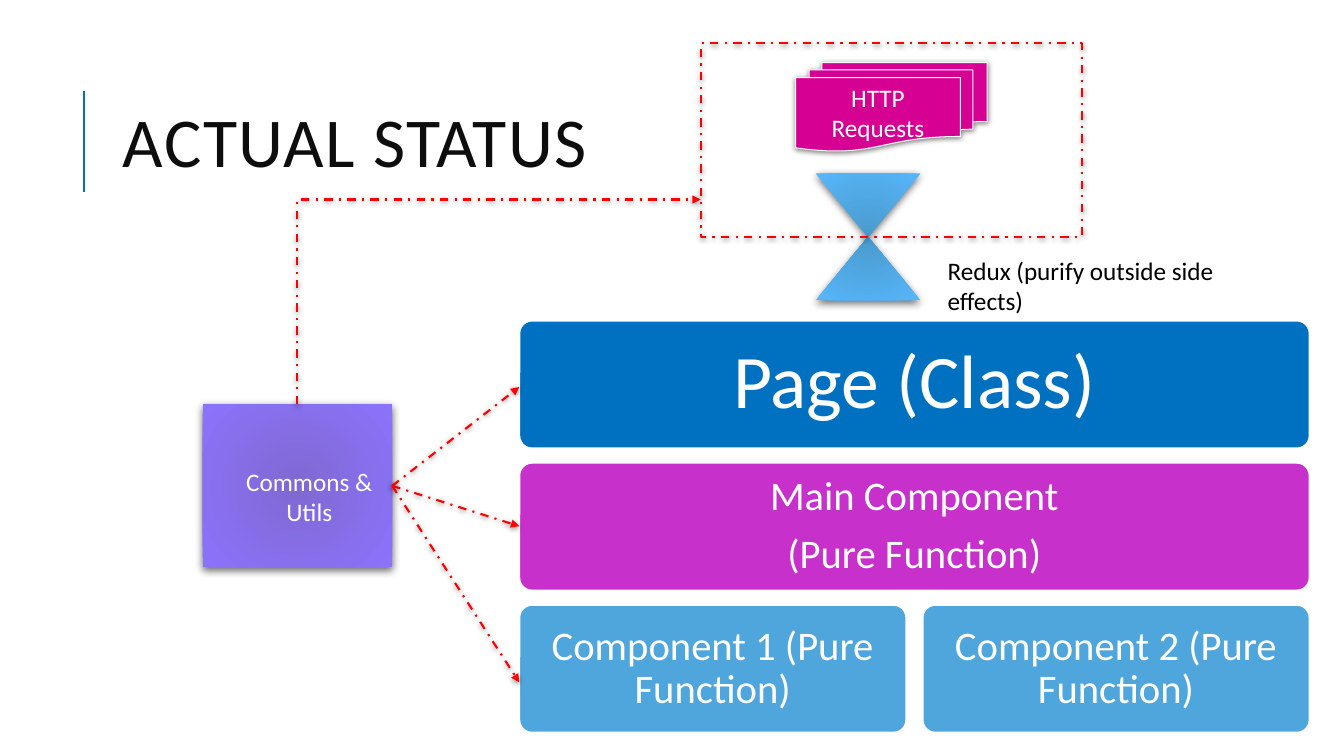
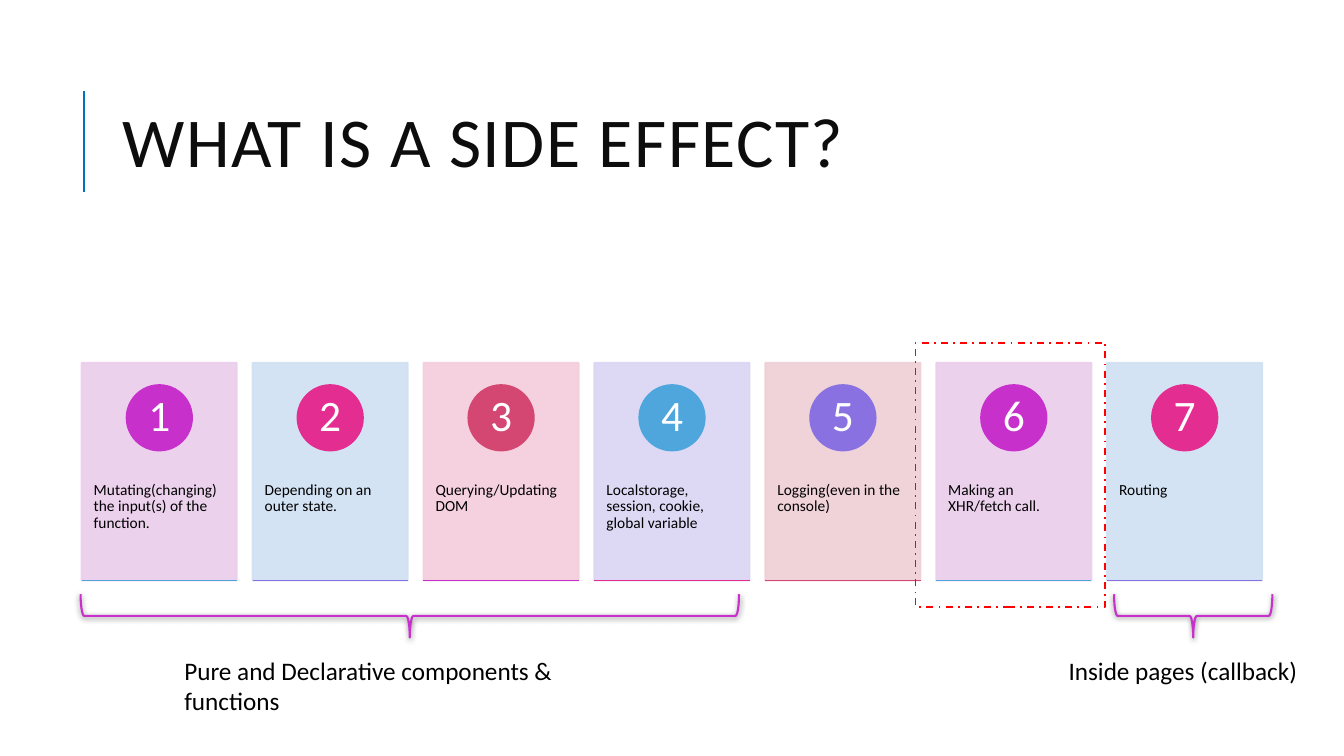
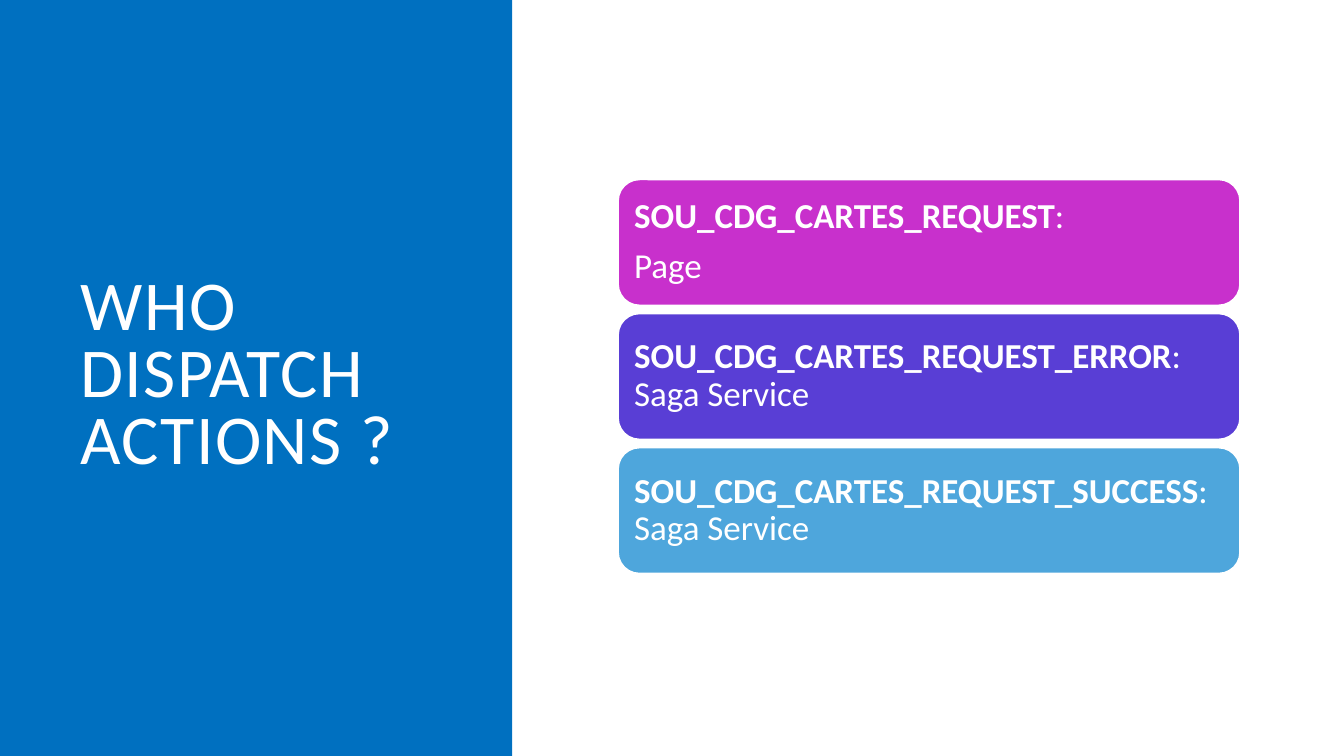
from lxml.etree import SubElement
from pptx import Presentation
from pptx.dml.color import RGBColor
from pptx.enum.dml import MSO_LINE
from pptx.enum.shapes import MSO_CONNECTOR, MSO_SHAPE
from pptx.enum.text import MSO_ANCHOR, PP_ALIGN
from pptx.oxml.ns import qn
from pptx.util import Inches, Pt

BLUE, SKY, PURPLE, PINK = "0070C0", "4EA6DC", "C830CC", "E32D91"
ROSE, LILAC, VIOLET, MAGENTA = "D54773", "8971E1", "593ED5", "D60093"
RED, WHITE, BLACK, INK = "FF0000", "FFFFFF", "000000", "0D0D0D"
FONT = "Calibri"
SOFT_SHADOW = (50, 4, 1)
DEEP_SHADOW = (60, 6, 2)
DEFAULT_INSETS = (0.1, 0.05, 0.1, 0.05)


def color(value):
    return RGBColor.from_string(value)


class Deck:
    def __init__(self):
        self.presentation = Presentation()
        self.presentation.slide_width = Inches(13.33)
        self.presentation.slide_height = Inches(7.5)
        self.slide = None

    def new_slide(self):
        self.slide = self.presentation.slides.add_slide(self.presentation.slide_layouts[6])

    def effects(self, element, shadow):
        effect_list = element.spPr.find(qn("a:effectLst"))
        if effect_list is None:
            effect_list = SubElement(element.spPr, qn("a:effectLst"))
        if shadow:
            alpha, blur, distance = shadow
            outer = SubElement(effect_list, qn("a:outerShdw"), blurRad=str(Pt(blur)),
                               dist=str(Pt(distance)), dir="5400000", rotWithShape="0")
            shade = SubElement(outer, qn("a:srgbClr"), val=BLACK)
            SubElement(shade, qn("a:alpha"), val=str(alpha * 1000))

    def outline(self, line, stroke, width, dashed):
        if stroke is None:
            line.fill.background()
            return
        line.color.rgb = color(stroke)
        line.width = Pt(width)
        if dashed:
            line.dash_style = MSO_LINE.DASH_DOT

    def shape(self, kind, left, top, width, height, fill=None, stroke=None,
              stroke_width=1.25, dashed=False, shadow=None, opacity=100):
        shape = self.slide.shapes.add_shape(kind, Inches(left), Inches(top),
                                            Inches(width), Inches(height))
        if fill is None:
            shape.fill.background()
        elif isinstance(fill, tuple):
            self.radial(shape, fill)
        else:
            shape.fill.solid()
            shape.fill.fore_color.rgb = color(fill)
        self.outline(shape.line, stroke, stroke_width, dashed)
        if opacity < 100:
            for tint in shape.element.spPr.iter(qn("a:srgbClr")):
                SubElement(tint, qn("a:alpha"), val=str(opacity * 1000))
        shape.shadow.inherit = False
        self.effects(shape.element, shadow)
        return shape

    def radial(self, shape, colors):
        shape.fill.gradient()
        for stop, value in zip(shape.fill.gradient_stops, colors):
            stop.color.rgb = color(value)
        gradient = shape.element.spPr.find(qn("a:gradFill"))
        gradient.remove(gradient.find(qn("a:lin")))
        circle = SubElement(gradient, qn("a:path"), path="circle")
        SubElement(circle, qn("a:fillToRect"), l="100000", t="100000", r="100000", b="100000")

    def set_text(self, shape, paragraphs, size, ink=WHITE, align=PP_ALIGN.LEFT,
                 anchor=MSO_ANCHOR.MIDDLE, insets=DEFAULT_INSETS, line_spacing=None,
                 after=0, tracking=None):
        frame = shape.text_frame
        frame.word_wrap = True
        frame.vertical_anchor = anchor
        (frame.margin_left, frame.margin_top,
         frame.margin_right, frame.margin_bottom) = map(Inches, insets)
        for index, runs in enumerate(paragraphs):
            paragraph = frame.add_paragraph() if index else frame.paragraphs[0]
            paragraph.alignment = align
            if line_spacing:
                paragraph.line_spacing = line_spacing
            if after:
                paragraph.space_after = Pt(round(size * after))
            for text, bold in runs:
                run = paragraph.add_run()
                run.text = text
                run.font.name = FONT
                run.font.size = Pt(size)
                run.font.bold = bold
                run.font.color.rgb = color(ink)
                if tracking:
                    run.font._element.set("spc", str(tracking * 100))

    def text_box(self, left, top, width, height, text, size=18, ink=BLACK,
                 anchor=MSO_ANCHOR.TOP, **style):
        box = self.slide.shapes.add_textbox(Inches(left), Inches(top),
                                            Inches(width), Inches(height))
        self.set_text(box, [[(text, False)]], size, ink, anchor=anchor, **style)

    def title(self, text, place=(1.12, 0.64, 10.63, 1.64), ink=INK):
        self.text_box(*place, text, 50, ink, MSO_ANCHOR.MIDDLE, line_spacing=0.8, tracking=1)

    def ruled_title(self, text):
        self.line((0.83, 1.9), (0.83, 0.9), BLUE, 1.5)
        self.title(text)

    def line(self, start, end, stroke, width=1.25, dashed=False, shadow=None,
             kind=MSO_CONNECTOR.STRAIGHT):
        connector = self.slide.shapes.add_connector(kind, *map(Inches, start + end))
        self.outline(connector.line, stroke, width, dashed)
        self.effects(connector.element, shadow)
        return connector

    def arrow(self, start, end, kind=MSO_CONNECTOR.STRAIGHT):
        connector = self.line(start, end, RED, 1.5, True, SOFT_SHADOW, kind)
        SubElement(connector.element.spPr.find(qn("a:ln")), qn("a:tailEnd"), type="triangle")
        return connector

    def corner_arrow(self, start, end):
        center_x, center_y = (start[0] + end[0]) / 2, (start[1] + end[1]) / 2
        half_run, half_rise = (end[0] - start[0]) / 2, (start[1] - end[1]) / 2
        connector = self.arrow((center_x + half_rise, center_y + half_run),
                               (center_x - half_rise, center_y - half_run),
                               MSO_CONNECTOR.ELBOW)
        properties = connector.element.spPr
        properties.find(qn("a:xfrm")).set("rot", "5400000")
        properties.find(qn("a:prstGeom")).set("prst", "bentConnector2")

    def block(self, left, top, width, height, fill, paragraphs, size, inset,
              corner, align=PP_ALIGN.LEFT, stroke_width=1.25):
        block = self.shape(MSO_SHAPE.ROUNDED_RECTANGLE, left, top, width, height,
                           fill, WHITE, stroke_width)
        block.adjustments[0] = corner
        self.set_text(block, paragraphs, size, align=align, insets=(inset,) * 4,
                      line_spacing=0.9, after=0.35)

    def symbol(self, kind, place, fill, text=None, stroke=None, shadow=DEEP_SHADOW):
        symbol = self.shape(kind, *place, fill, stroke, 0.75, shadow=shadow)
        if text:
            self.set_text(symbol, [[(text, False)]], 18, align=PP_ALIGN.CENTER)

    def card(self, left, number, text, tint, accent, base):
        top, width, height, dot = 3.6, 1.54, 2.16, 0.65
        card = self.shape(MSO_SHAPE.RECTANGLE, left, top, width, height, tint, tint, opacity=90)
        self.set_text(card, [[(text, False)]], 11, BLACK, anchor=MSO_ANCHOR.TOP,
                      insets=(0.12, 1.18, 0.12, 0.36), line_spacing=0.9, after=0.35)
        badge = self.shape(MSO_SHAPE.OVAL, left + (width - dot) / 2, top + 0.22,
                           dot, dot, accent, accent)
        self.set_text(badge, [[(str(number), False)]], 31, align=PP_ALIGN.CENTER,
                      insets=(0.05, 0.01, 0.05, 0.01), line_spacing=0.9, after=0.35)
        self.line((left, top + height), (left + width, top + height), base)

    def brace(self, left, span):
        depth, middle = 0.43, 6.11
        brace = self.shape(MSO_SHAPE.LEFT_BRACE, left + (span - depth) / 2, middle - span / 2,
                           depth, span, stroke=PURPLE, stroke_width=1.5, shadow=SOFT_SHADOW)
        brace.rotation = 270


def status_slide(deck):
    deck.new_slide()
    deck.ruled_title("ACTUAL STATUS")
    left, wide, narrow, height = 5.15, 7.84, 3.84, 1.27
    top, step = 3.18, 1.41
    blocks = [
        (left, 0, wide, BLUE, ["Page (Class)"], 54, 0.23),
        (left, 1, wide, PURPLE, ["Main Component", "(Pure Function)"], 29, 0.12),
        (left, 2, narrow, SKY, ["Component 1 (Pure Function)"], 29, 0.12),
        (left + wide - narrow, 2, narrow, SKY, ["Component 2 (Pure Function)"], 29, 0.12),
    ]
    for x, row, width, fill, texts, size, inset in blocks:
        deck.block(x, top + row * step, width, height, fill,
                   [[(text, False)] for text in texts], size, inset, 0.1,
                   PP_ALIGN.CENTER, 1.5)
    deck.symbol(MSO_SHAPE.FLOWCHART_COLLATE, (8.09, 1.72, 1.04, 1.26), ("499BCD", "57B6FB"))
    deck.text_box(9.3, 2.48, 3.62, 0.4, "Redux (purify outside side effects)")
    deck.symbol(MSO_SHAPE.FLOWCHART_MULTIDOCUMENT, (7.89, 0.62, 1.9, 0.88), MAGENTA,
                "HTTP Requests", WHITE, SOFT_SHADOW)
    deck.symbol(MSO_SHAPE.FLOWCHART_INTERNAL_STORAGE, (2.01, 4.01, 1.88, 1.62),
                ("8069D2", "8C72FB"), "Commons & Utils")
    for target in (3.84, 5.22, 6.77):
        deck.arrow((3.89, 4.82), (left, target))
    deck.corner_arrow((2.95, 4.01), (6.95, 1.98))
    deck.shape(MSO_SHAPE.RECTANGLE, 6.95, 0.43, 3.78, 1.92, stroke=RED,
               stroke_width=1.5, dashed=True, shadow=SOFT_SHADOW)


def side_effect_slide(deck):
    deck.new_slide()
    deck.ruled_title("WHAT IS A SIDE EFFECT?")
    effects = [
        "Mutating(changing) the input(s) of the function.",
        "Depending on an outer state.",
        "Querying/Updating DOM",
        "Localstorage, session, cookie, global variable",
        "Logging(even in the console)",
        "Making an XHR/fetch call.",
        "Routing",
    ]
    tints = ["EBCDEC", "D0E1F2", "F4CDDC", "DAD5F4", "EFCFD5"]
    accents = [PURPLE, PINK, ROSE, SKY, LILAC]
    first, last = 0.81, 10.98
    step = (last - first) / (len(effects) - 1)
    for index, text in enumerate(effects):
        deck.card(first + index * step, index + 1, text, tints[index % 5],
                  accents[index % 5], accents[(index + 3) % 5])
    deck.shape(MSO_SHAPE.RECTANGLE, 9.08, 3.4, 1.88, 2.62, stroke=RED, dashed=True)
    deck.brace(0.8, 6.53)
    deck.text_box(1.73, 6.45, 4.7, 0.4, "Pure and Declarative components & functions")
    deck.brace(11.05, 1.57)
    deck.text_box(10.5, 6.45, 2.51, 0.4, "Inside pages (callback)")


def dispatch_slide(deck):
    deck.new_slide()
    deck.shape(MSO_SHAPE.RECTANGLE, 0, 0, 5.08, 7.5, BLUE)
    deck.title("WHO DISPATCH ACTIONS ?", (0.7, 0.7, 3.74, 6.09), WHITE)
    actions = [
        (PURPLE, [[("SOU_CDG_CARTES_REQUEST", True), (":", False)], [("Page", False)]]),
        (VIOLET, [[("SOU_CDG_CARTES_REQUEST_ERROR", True), (": Saga Service", False)]]),
        (SKY, [[("SOU_CDG_CARTES_REQUEST_SUCCESS", True), (": Saga Service", False)]]),
    ]
    for row, (fill, paragraphs) in enumerate(actions):
        deck.block(6.13, 1.78 + row * 1.33, 6.17, 1.25, fill, paragraphs, 25, 0.1, 0.17)


def main():
    deck = Deck()
    status_slide(deck)
    side_effect_slide(deck)
    dispatch_slide(deck)
    deck.presentation.save("out.pptx")


if __name__ == "__main__":
    main()
